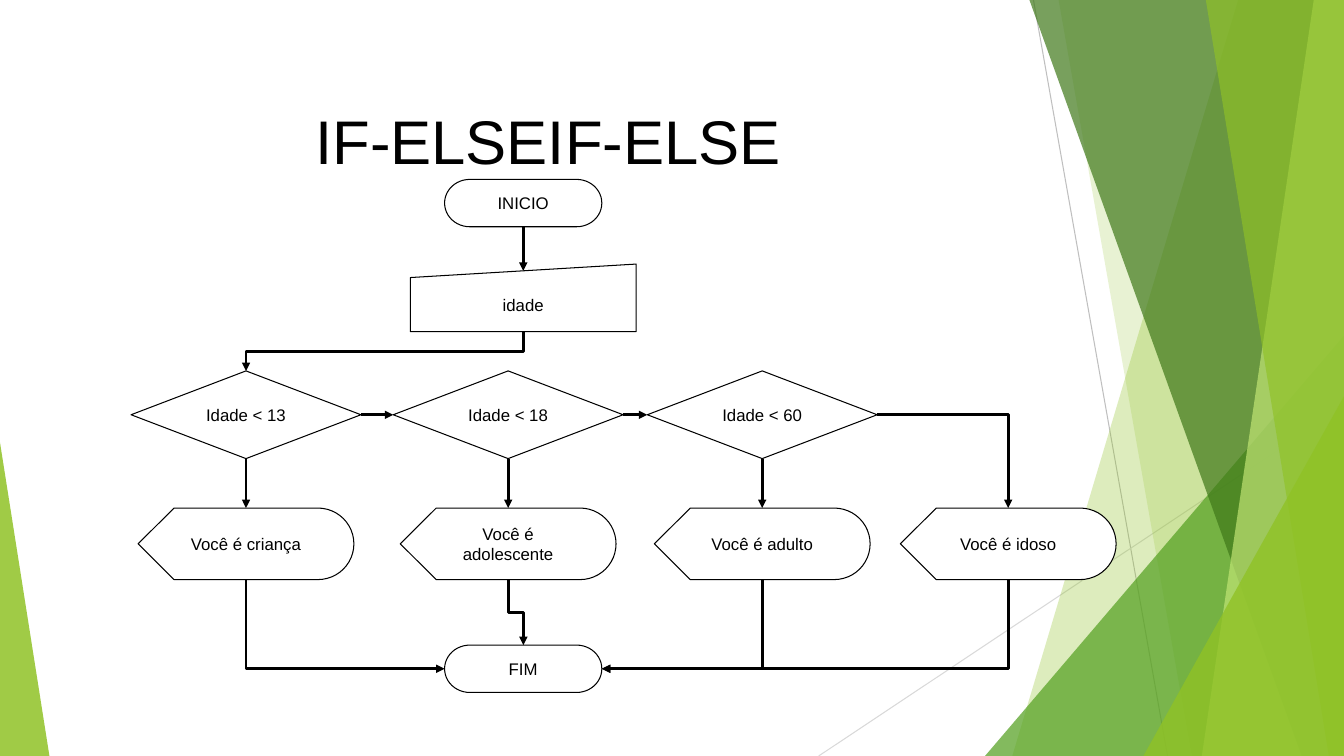
from collections import namedtuple
from dataclasses import dataclass

from lxml.etree import SubElement
from pptx import Presentation
from pptx.dml.color import RGBColor
from pptx.enum.shapes import MSO_CONNECTOR as Link, MSO_SHAPE as Kind
from pptx.enum.text import MSO_ANCHOR as Anchor, MSO_AUTO_SIZE as AutoSize, PP_ALIGN as Align
from pptx.oxml.ns import qn
from pptx.util import Pt

PX = 9144
TOP, LEFT, BOTTOM, RIGHT = range(4)
Box = namedtuple("Box", "left top width height")


@dataclass(frozen=True)
class Theme:
    font: str = "Arial"
    title_size: int = 44
    node_size: int = 12
    ink: str = "000000"
    paper: str = "FFFFFF"
    leaf: str = "90C226"
    grass: str = "54A021"
    forest: str = "3F7819"
    lime: str = "C0E474"
    dark_thread: str = "BFBFBF"
    light_thread: str = "D9D9D9"
    thread_width: float = 0.75
    hairline: int = 0


THEME = Theme()


def paint(target, color, alpha=100):
    target.solid()
    target.fore_color.rgb = RGBColor.from_string(color)
    if alpha < 100:
        for tag in target._xPr.iter(qn("a:srgbClr")):
            SubElement(tag, qn("a:alpha")).set("val", str(alpha * 1000))


def write(frame, text, size):
    frame.word_wrap = True
    frame.vertical_anchor = Anchor.MIDDLE
    para = frame.paragraphs[0]
    para.alignment = Align.CENTER
    span = para.add_run()
    span.text = text
    span.font.name = THEME.font
    span.font.size = Pt(size)
    span.font.color.rgb = RGBColor.from_string(THEME.ink)


def add_line(slide, kind, start, end, color, width):
    line = slide.shapes.add_connector(kind, *start, *end)
    paint(line.line.fill, color)
    line.line.width = Pt(width)
    SubElement(line._element.spPr, qn("a:effectLst"))
    return line


def add_backdrop(slide, box):
    right, bottom = box.width, box.height
    threads = [
        ((1025, 0), (1158, bottom), THEME.dark_thread),
        ((right, 403), (812, bottom), THEME.light_thread),
    ]
    for start, end, color in threads:
        ends = [((box.left + x) * PX, (box.top + y) * PX) for x, y in (start, end)]
        add_line(slide, Link.STRAIGHT, *ends, color, THEME.thread_width)

    def band(top_x, bottom_x):
        return [(top_x, 0), (right, 0), (right, bottom), (bottom_x, bottom)]

    def corner(bottom_x, right_y):
        return [(bottom_x, bottom), (right, right_y), (right, bottom)]

    facets = [
        (band(1228, 1004), THEME.leaf, 30),
        (band(1050, 1182), THEME.leaf, 20),
        (corner(977, 333), THEME.grass, 72),
        (band(1021, 1291), THEME.forest, 70),
        (band(1303, 1192), THEME.lime, 70),
        (band(1196, 1318), THEME.leaf, 65),
        (corner(1134, 393), THEME.leaf, 80),
        ([(0, bottom), (0, 439), (49, bottom)], THEME.leaf, 85),
    ]
    for points, color, alpha in facets:
        placed = [(box.left + x, box.top + y) for x, y in points]
        outline = slide.shapes.build_freeform(*placed[0], scale=PX)
        outline.add_line_segments(placed[1:], close=True)
        facet = outline.convert_to_shape()
        facet.shadow.inherit = False
        facet.line.fill.background()
        paint(facet.fill, color, alpha)


def add_title(slide, box, text):
    title = slide.shapes.title
    title.left, title.top, title.width, title.height = (n * PX for n in box)
    frame = title.text_frame
    frame.margin_left = frame.margin_right = frame.margin_top = frame.margin_bottom = 0
    frame.auto_size = AutoSize.NONE
    write(frame, text, THEME.title_size)
    slide.shapes._spTree.append(title._element)


def add_node(slide, kind, center, top, size, text):
    width, height = size
    node = slide.shapes.add_shape(
        kind, (center - width // 2) * PX, top * PX, width * PX, height * PX)
    node.shadow.inherit = False
    paint(node.fill, THEME.paper)
    paint(node.line.fill, THEME.ink)
    node.line.width = Pt(THEME.hairline)
    write(node.text_frame, text, THEME.node_size)
    return node


def site(node, side):
    across, down = {TOP: (0.5, 0), LEFT: (0, 0.5), BOTTOM: (0.5, 1), RIGHT: (1, 0.5)}[side]
    if side == TOP and node.auto_shape_type == Kind.FLOWCHART_MANUAL_INPUT:
        down = 0.1
    return round(node.left + across * node.width), round(node.top + down * node.height)


def bend(arrow, start, end, from_side, to_side):
    (x1, y1), (x2, y2) = start, end
    wide, high = abs(x2 - x1), abs(y2 - y1)
    xfrm = arrow._element.spPr.find(qn("a:xfrm"))
    xfrm.attrib.clear()
    if from_side == BOTTOM:
        arrow.left, arrow.top = (x1 + x2 - high) // 2, (y1 + y2 - wide) // 2
        arrow.width, arrow.height = high, wide
        xfrm.set("rot", "5400000" if x2 < x1 else "16200000")
        if x2 > x1:
            xfrm.set("flipH", "1")
    else:
        arrow.left, arrow.top, arrow.width, arrow.height = x1, y1, wide, high
    same_axis = from_side == BOTTOM and to_side == TOP
    shape = "bentConnector3" if same_axis else "bentConnector2"
    arrow._element.spPr.find(qn("a:prstGeom")).set("prst", shape)


def add_arrow(slide, source, from_side, target, to_side):
    start, end = site(source, from_side), site(target, to_side)
    straight = start[0] == end[0] or start[1] == end[1]
    kind = Link.STRAIGHT if straight else Link.ELBOW
    arrow = add_line(slide, kind, start, end, THEME.ink, THEME.hairline)
    SubElement(arrow.line._get_or_add_ln(), qn("a:tailEnd")).set("type", "triangle")
    arrow.begin_connect(source, from_side)
    arrow.end_connect(target, to_side)
    if straight:
        arrow.begin_x, arrow.begin_y = start
        arrow.end_x, arrow.end_y = end
    else:
        bend(arrow, start, end, from_side, to_side)


def add_flowchart(slide, box):
    def node(kind, center, top, size, text):
        return add_node(slide, kind, box.left + center, box.top + top, size, text)

    axis, columns = 389, (114, 374, 626, 870)
    begin = node(Kind.FLOWCHART_TERMINATOR, axis, 0, (156, 47), "INICIO")
    age = node(Kind.FLOWCHART_MANUAL_INPUT, axis, 84, (224, 67), "idade")
    finish = node(Kind.FLOWCHART_TERMINATOR, axis, 462, (156, 47), "FIM")
    tests = [node(Kind.FLOWCHART_DECISION, center, 190, (228, 87), f"Idade < {limit}")
             for center, limit in zip(columns, (13, 18, 60))]
    answers = [node(Kind.FLOWCHART_DISPLAY, center, 326, (214, 71), f"Você é {group}")
               for center, group in zip(columns, ("criança", "adolescente", "adulto", "idoso"))]

    add_arrow(slide, begin, BOTTOM, age, TOP)
    add_arrow(slide, age, BOTTOM, tests[0], TOP)
    for test, answer in zip(tests, answers):
        add_arrow(slide, test, BOTTOM, answer, TOP)
    for test, following in zip(tests, tests[1:]):
        add_arrow(slide, test, RIGHT, following, LEFT)
    add_arrow(slide, tests[-1], RIGHT, answers[-1], TOP)
    for answer, side in zip(answers, (LEFT, TOP, RIGHT, RIGHT)):
        add_arrow(slide, answer, BOTTOM, finish, side)


def main():
    deck = Presentation()
    deck.slide_width, deck.slide_height = 1333 * PX, 750 * PX
    page = deck.slides.add_slide(deck.slide_layouts.get_by_name("Title Only"))
    add_backdrop(page, Box(0, 0, 1333, 750))
    add_title(page, Box(74, 67, 940, 144), "IF-ELSEIF-ELSE")
    add_flowchart(page, Box(130, 178, 977, 509))
    deck.save("out.pptx")


if __name__ == "__main__":
    main()
